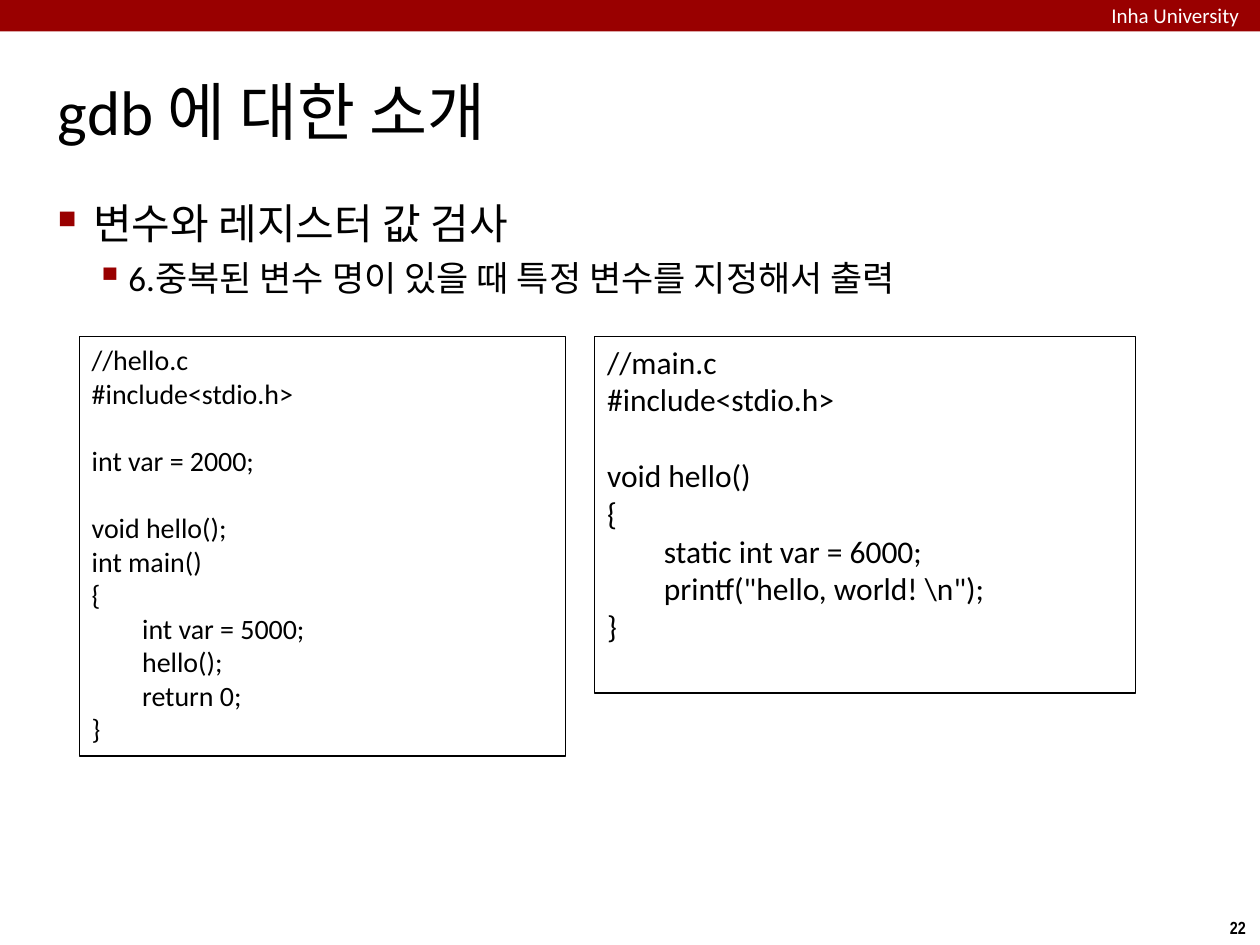
from lxml.etree import SubElement
from pptx import Presentation
from pptx.dml.color import RGBColor
from pptx.enum.shapes import MSO_SHAPE
from pptx.enum.text import MSO_ANCHOR, MSO_AUTO_SIZE, PP_ALIGN
from pptx.oxml.ns import qn
from pptx.util import Inches, Pt

RED, BLACK, WHITE = "990000", "000000", "FFFFFF"
TITLE = "gdb 에 대한 소개"
BULLETS = [
    # text, size, left margin, hanging, space before, bullet, bullet percent
    ("변수와 레지스터 값 검사", 24, 0.28, 0.28, 6, "■", 60),
    ("6.중복된 변수 명이 있을 때 특정 변수를 지정해서 출력", 20, 0.56, 0.26, 5, "▪", 110),
]
HELLO_C = """//hello.c
#include<stdio.h>

int var = 2000;

void hello();
int main()
{
        int var = 5000;
        hello();
        return 0;
}"""
MAIN_C = """//main.c
#include<stdio.h>

void hello()
{
        static int var = 6000;
        printf("hello, world! \\n");
}"""
LISTINGS = [
    (HELLO_C, 16, (0.63, 2.67, 3.86, 3.33)),
    (MAIN_C, 18, (4.72, 2.67, 4.29, 2.83)),
]


def rgb(value):
    """Turn a hex string into a colour."""
    return RGBColor.from_string(value)


def place(sp, box):
    """Move and size a shape in inches."""
    sp.left, sp.top, sp.width, sp.height = map(Inches, box)


def set_text(sp, text, size, color=BLACK, inset=None, font="Calibri", bold=False,
             anchor=MSO_ANCHOR.TOP, align=PP_ALIGN.LEFT, wrap=True):
    """Fill a shape with formatted text."""
    tf = sp.text_frame
    tf.text = text
    tf.word_wrap = wrap
    tf.auto_size = MSO_AUTO_SIZE.NONE
    tf.vertical_anchor = anchor
    if inset is not None:
        tf.margin_left = tf.margin_right = tf.margin_top = tf.margin_bottom = Inches(inset)
    for p in tf.paragraphs:
        p.alignment = align
        for r in p.runs:
            r.font.name, r.font.size, r.font.bold = font, Pt(size), bold
            r.font.color.rgb = rgb(color)
        if not p.runs:
            SubElement(p._p, qn("a:endParaRPr"), sz=str(size * 100))
    return tf


def add_bullet(p, left, hanging, char, percent):
    """Give a paragraph a coloured square bullet and a hanging indent."""
    pPr = p._p.get_or_add_pPr()
    pPr.set("marL", str(Inches(left)))
    pPr.set("indent", str(-Inches(hanging)))
    SubElement(SubElement(pPr, qn("a:buClr")), qn("a:srgbClr"), val=RED)
    SubElement(pPr, qn("a:buSzPct"), val=str(percent * 1000))
    SubElement(pPr, qn("a:buChar"), char=char)


def add_rect(s, box, fill=None, line=None):
    """Add a plain rectangle."""
    sp = s.shapes.add_shape(MSO_SHAPE.RECTANGLE, *map(Inches, box))
    sp.shadow.inherit = False
    if fill:
        sp.fill.solid()
        sp.fill.fore_color.rgb = rgb(fill)
    else:
        sp.fill.background()
    if line:
        sp.line.color.rgb = rgb(line)
        sp.line.width = Pt(0.75)
    else:
        sp.line.fill.background()
    return sp


def add_text(s, box, *args, **kwargs):
    """Add a text box with formatted text."""
    sp = s.shapes.add_textbox(*map(Inches, box))
    return set_text(sp, *args, **kwargs)


def main():
    """Build the slide."""
    prs = Presentation()
    prs.slide_width, prs.slide_height = Inches(10), Inches(7.5)
    s = prs.slides.add_slide(prs.slide_layouts[5])

    add_rect(s, (0, 0, 10, 0.25), fill=RED)
    add_text(s, (8.82, 0.02, 1.44, 0.19), "Inha University", 12, WHITE, inset=0)
    add_text(s, (9.66, 7.23, 0.33, 0.26), "22", 10, font="Arial Narrow", bold=True,
             align=PP_ALIGN.CENTER, wrap=False)

    place(s.shapes.title, (0.42, 0.28, 9.17, 1.19))
    set_text(s.shapes.title, TITLE, 36, inset=0.04, anchor=MSO_ANCHOR.MIDDLE)

    tf = add_text(s, (0.42, 1.53, 9.17, 5.47), "\n".join(b[0] for b in BULLETS), 24, inset=0.04)
    for i, (p, bullet) in enumerate(zip(tf.paragraphs, BULLETS)):
        _, size, left, hanging, before, char, percent = bullet
        add_bullet(p, left, hanging, char, percent)
        p.level = i
        p.space_before = Pt(before if i else 0)
        p.runs[0].font.size = Pt(size)

    for code, size, box in LISTINGS:
        set_text(add_rect(s, box, line=BLACK), code, size)

    prs.save("out.pptx")


if __name__ == "__main__":
    main()
